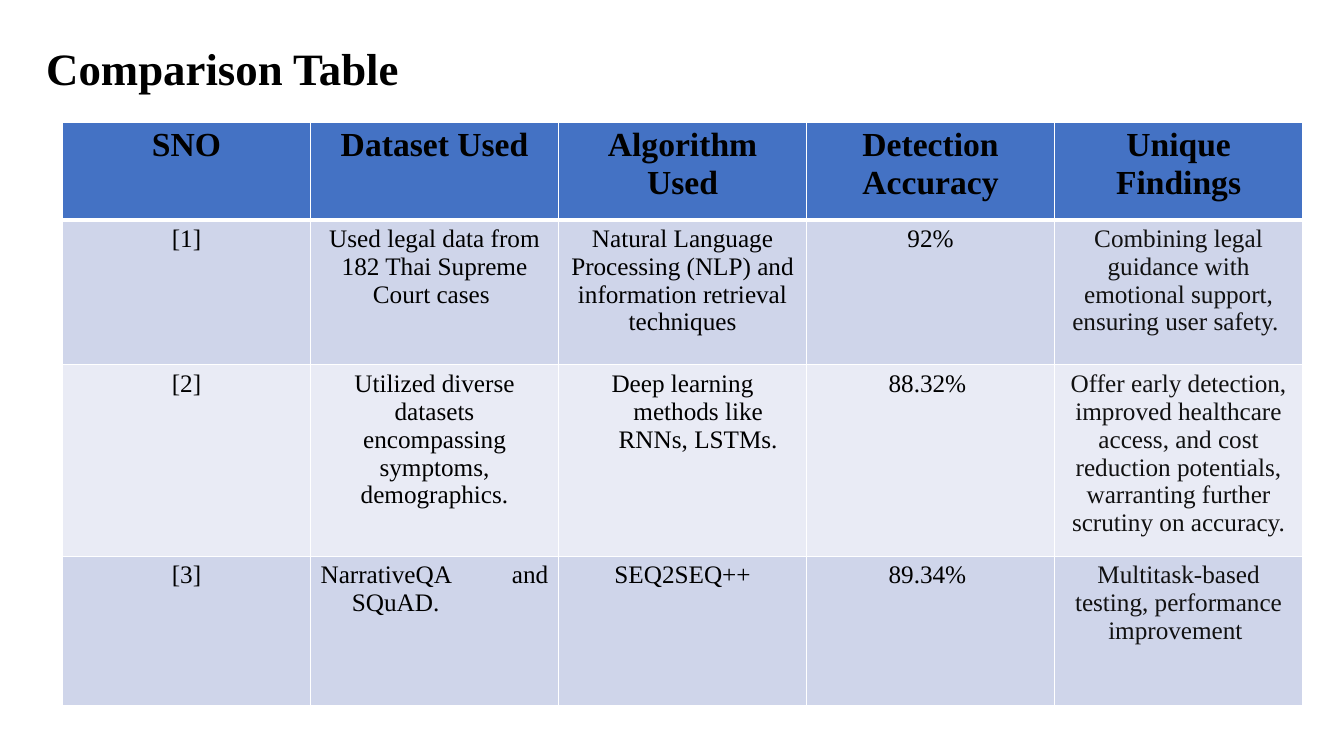
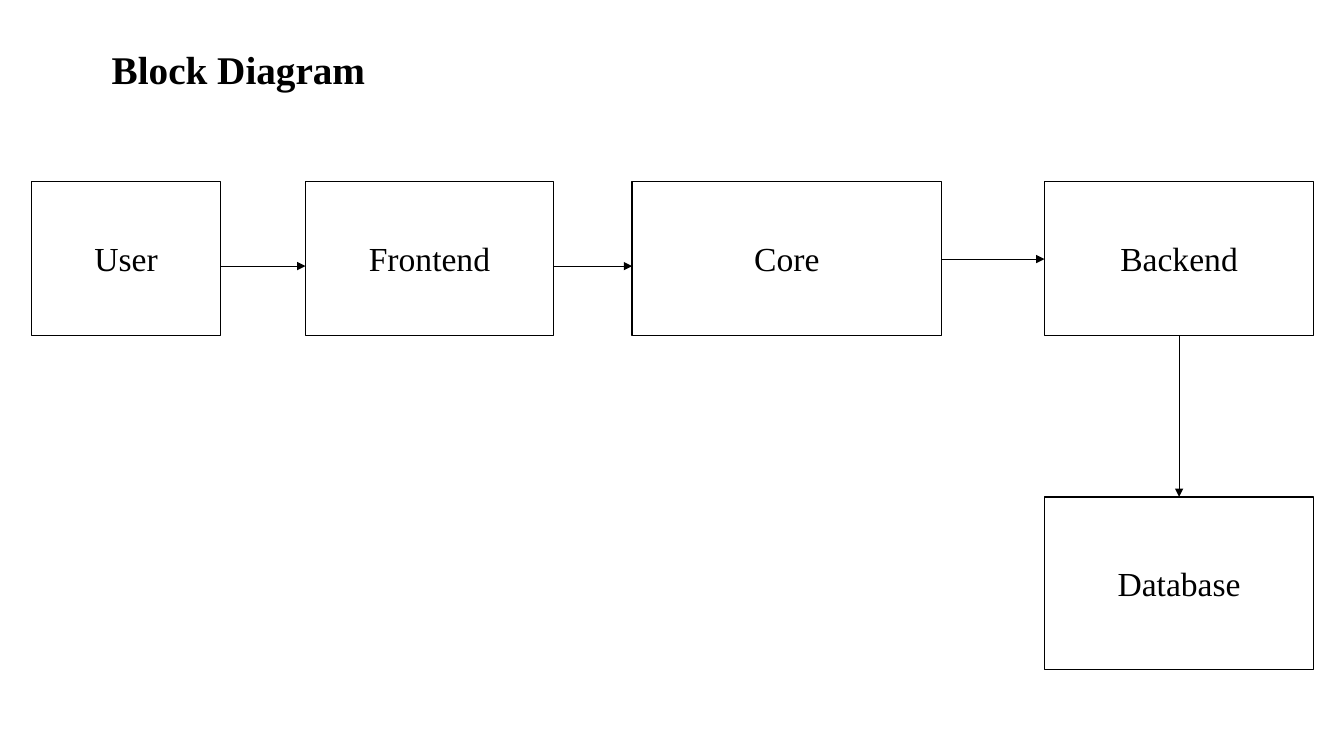
from lxml import etree
from pptx import Presentation
from pptx.dml.color import RGBColor
from pptx.enum.shapes import MSO_CONNECTOR as Connector, MSO_SHAPE as Shape
from pptx.enum.text import MSO_ANCHOR as Anchor, PP_ALIGN as Align
from pptx.oxml.ns import qn
from pptx.util import Inches, Pt

BLACK = RGBColor(0x00, 0x00, 0x00)
INK = RGBColor(0x11, 0x11, 0x11)
WHITE = RGBColor(0xFF, 0xFF, 0xFF)
HEADER_BLUE = RGBColor(0x44, 0x72, 0xC4)
BAND_DARK = RGBColor(0xCF, 0xD5, 0xEA)
BAND_LIGHT = RGBColor(0xE9, 0xEB, 0xF5)
FONT = "Times New Roman"


class Deck:
    """Holds the shared style and the slide being built."""

    def __init__(self):
        self.presentation = Presentation()
        self.presentation.slide_width = Inches(13.33)
        self.presentation.slide_height = Inches(7.5)
        self.slide = None

    def new_slide(self):
        blank = self.presentation.slide_layouts[6]
        self.slide = self.presentation.slides.add_slide(blank)

    def add_text(self, frame, text, size, align=Align.LEFT, bold=False, color=BLACK):
        frame.word_wrap = True
        paragraph = frame.paragraphs[0]
        paragraph.alignment = align
        run = paragraph.add_run()
        run.text = text
        run.font.name = FONT
        run.font.size = Pt(size)
        run.font.bold = bold
        run.font.color.rgb = color
        return paragraph

    def title(self, text, left, top, width, height, size, anchor=Anchor.TOP):
        box = self.slide.shapes.add_textbox(
            Inches(left), Inches(top), Inches(width), Inches(height))
        box.text_frame.vertical_anchor = anchor
        return self.add_text(box.text_frame, text, size, bold=True)

    def block(self, text, left, top, width, height):
        shape = self.slide.shapes.add_shape(
            Shape.RECTANGLE, Inches(left), Inches(top), Inches(width), Inches(height))
        shape.shadow.inherit = False
        shape.fill.solid()
        shape.fill.fore_color.rgb = WHITE
        shape.line.color.rgb = BLACK
        shape.line.width = Pt(1)
        shape.text_frame.vertical_anchor = Anchor.MIDDLE
        self.add_text(shape.text_frame, text, 24, Align.CENTER)

    def arrow(self, x1, y1, x2, y2):
        connector = self.slide.shapes.add_connector(
            Connector.STRAIGHT, Inches(x1), Inches(y1), Inches(x2), Inches(y2))
        connector.line.color.rgb = BLACK
        connector.line.width = Pt(0.5)
        properties = connector._element.spPr
        line = properties.find(qn("a:ln"))
        etree.SubElement(line, qn("a:tailEnd"), type="triangle")
        etree.SubElement(properties, qn("a:effectLst"))

    def cell_borders(self, cell, bottom):
        properties = cell._tc.get_or_add_tcPr()
        widths = {"lnL": 1, "lnR": 1, "lnT": 1, "lnB": bottom}
        for index, (side, width) in enumerate(widths.items()):
            line = etree.Element(qn(f"a:{side}"), w=str(Pt(width)))
            fill = etree.SubElement(line, qn("a:solidFill"))
            etree.SubElement(fill, qn("a:srgbClr"), val=str(WHITE))
            properties.insert(index, line)

    def table(self, rows, left, top, column_width, row_heights, hanging):
        """Draw a banded table; hanging maps (row, column) to an alignment."""
        columns = len(rows[0])
        table = self.slide.shapes.add_table(
            len(rows), columns, Inches(left), Inches(top),
            Inches(column_width * columns), Inches(sum(row_heights))).table
        for column in table.columns:
            column.width = Inches(column_width)
        for r, (texts, height) in enumerate(zip(rows, row_heights)):
            table.rows[r].height = Inches(height)
            header = r == 0
            band = HEADER_BLUE if header else BAND_DARK if r % 2 else BAND_LIGHT
            for c, text in enumerate(texts):
                cell = table.cell(r, c)
                cell.fill.solid()
                cell.fill.fore_color.rgb = band
                self.cell_borders(cell, bottom=3 if header else 1)
                color = INK if c == columns - 1 and not header else BLACK
                paragraph = self.add_text(
                    cell.text_frame, text, 24 if header else 18,
                    hanging.get((r, c), Align.CENTER), header, color)
                if (r, c) in hanging:
                    properties = paragraph._p.get_or_add_pPr()
                    properties.set("marL", str(Inches(0.31)))
                    properties.set("indent", str(Inches(-0.31)))


COMPARISON = [
    ["SNO", "Dataset Used", "Algorithm Used", "Detection Accuracy", "Unique Findings"],
    ["[1]", "Used legal data from 182 Thai Supreme Court cases ",
     "Natural Language Processing (NLP) and information retrieval techniques", "92%",
     "Combining legal guidance with emotional support, ensuring user safety. "],
    ["[2]", "Utilized diverse datasets encompassing symptoms, demographics.",
     "Deep learning methods like RNNs, LSTMs.", "88.32% ",
     "Offer early detection, improved healthcare access, and cost reduction "
     "potentials, warranting further scrutiny on accuracy."],
    ["[3]", "NarrativeQA and SQuAD.", "SEQ2SEQ++", "89.34% ",
     "Multitask-based testing, performance improvement "],
]


def comparison_slide(deck):
    deck.new_slide()
    heading = deck.title("Comparison Table", 0.36, 0.3, 12.01, 0.81, 32, Anchor.MIDDLE)
    heading.line_spacing = 0.9
    deck.table(COMPARISON, 0.62, 1.21, 2.46, [0.97, 1.44, 1.58, 1.48],
               {(2, 2): Align.CENTER, (3, 1): Align.JUSTIFY})


def diagram_slide(deck):
    deck.new_slide()
    deck.title("Block Diagram", 1.01, 0.4, 11.11, 0.68, 28)

    # Row of blocks: name, left, width
    top, height = 1.8, 1.53
    blocks = [("User", 0.31, 1.88), ("Frontend", 3.03, 2.46),
              ("Core", 6.27, 3.07), ("Backend", 10.36, 2.67)]
    for name, left, width in blocks:
        deck.block(name, left, top, width, height)

    # Arrows across the gaps between neighbours
    for (_, left, width), (_, following, _), y in zip(
            blocks, blocks[1:], [2.64, 2.64, 2.57]):
        deck.arrow(left + width, y, following, y)

    # Database below the last block
    _, left, width = blocks[-1]
    database_top = 4.93
    deck.block("Database", left, database_top, width, 1.71)
    center = left + width / 2
    deck.arrow(center, top + height, center, database_top)


def main():
    deck = Deck()
    comparison_slide(deck)
    diagram_slide(deck)
    deck.presentation.save("out.pptx")


if __name__ == "__main__":
    main()
